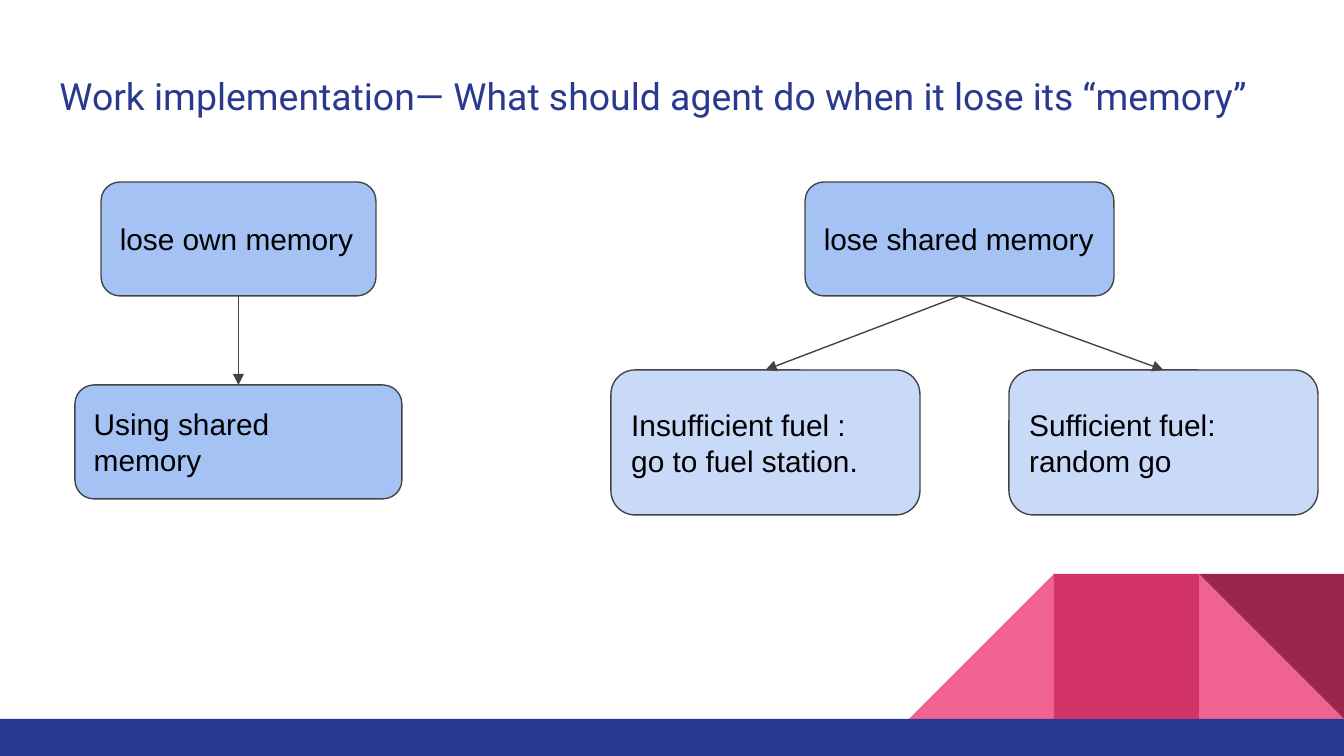
import pptx
import pptx.util
import pptx.dml.color
import pptx.enum.shapes
import pptx.enum.text
import pptx.oxml.ns
import lxml.etree

RGBColor = pptx.dml.color.RGBColor
SHAPE = pptx.enum.shapes.MSO_SHAPE
ANCHOR = pptx.enum.text.MSO_ANCHOR
ALIGN = pptx.enum.text.PP_ALIGN

NAVY = RGBColor(0x2A, 0x39, 0x90)
PINK = RGBColor(0xF0, 0x62, 0x92)
CRIMSON = RGBColor(0xD2, 0x33, 0x69)
MAROON = RGBColor(0x9C, 0x25, 0x4D)
BLUE = RGBColor(0xA4, 0xC2, 0xF4)
PALE_BLUE = RGBColor(0xC9, 0xDA, 0xF8)
GRAY = RGBColor(0x43, 0x43, 0x43)
BLACK = RGBColor(0, 0, 0)

WIDTH, HEIGHT = 1344, 756
SCALE = 914400 / 134.4
TOP, BOTTOM = 0, 2


def emu(pixels):
    return pptx.util.Emu(round(pixels * SCALE))


def write(shape, text, font, size, color, anchor):
    frame = shape.text_frame
    frame.text = text
    frame.word_wrap = True
    frame.auto_size = pptx.enum.text.MSO_AUTO_SIZE.NONE
    frame.vertical_anchor = anchor
    frame.margin_left = frame.margin_right = pptx.util.Inches(0.1)
    frame.margin_top = frame.margin_bottom = pptx.util.Inches(0.1)
    for para in frame.paragraphs:
        para.alignment = ALIGN.LEFT
        for span in para.runs:
            span.font.name = font
            span.font.size = pptx.util.Pt(size)
            span.font.color.rgb = color


def add_block(page, kind, box, fill):
    shape = page.shapes.add_shape(kind, *map(emu, box))
    shape.shadow.inherit = False
    shape.fill.solid()
    shape.fill.fore_color.rgb = fill
    shape.line.fill.background()
    return shape


def add_decoration(page, box):
    left, top, width, height = box
    side = width / 3
    pieces = [
        (SHAPE.RIGHT_TRIANGLE, 2, 0, PINK),
        (SHAPE.RIGHT_TRIANGLE, 0, 270, PINK),
        (SHAPE.RECTANGLE, 1, 0, CRIMSON),
        (SHAPE.RIGHT_TRIANGLE, 2, 180, MAROON),
    ]
    for kind, column, turn, fill in pieces:
        piece = add_block(page, kind, (left + column * side, top, side, side), fill)
        piece.rotation = turn
    bar_top = top + side
    add_block(page, SHAPE.RECTANGLE, (0, bar_top, WIDTH, top + height - bar_top), NAVY)


def set_title(page, box, text):
    title = page.shapes.title
    title.left, title.top, title.width, title.height = map(emu, box)
    write(title, text, "Roboto", 20, NAVY, ANCHOR.TOP)


def add_step(page, box, text, fill):
    step = add_block(page, SHAPE.ROUNDED_RECTANGLE, box, fill)
    step.line.color.rgb = GRAY
    step.line.width = pptx.util.Pt(0.75)
    write(step, text, "Arial", 16, BLACK, ANCHOR.MIDDLE)
    return step


def add_arrow(page, source, target):
    arrow = page.shapes.add_connector(pptx.enum.shapes.MSO_CONNECTOR.STRAIGHT, 0, 0, 0, 0)
    arrow.begin_connect(source, BOTTOM)
    arrow.end_connect(target, TOP)
    arrow.line.color.rgb = GRAY
    arrow.line.width = pptx.util.Pt(0.75)
    qn = pptx.oxml.ns.qn
    lxml.etree.SubElement(arrow.line._get_or_add_ln(), qn("a:tailEnd"), type="triangle")
    lxml.etree.SubElement(arrow._element.spPr, qn("a:effectLst"))


def add_own_memory(page, box):
    left, top, width, height = box
    cause = add_step(page, (left + 26, top, width - 52, 114), "lose own memory", BLUE)
    action = add_step(page, (left, top + height - 114, width, 114), "Using shared memory", BLUE)
    add_arrow(page, cause, action)


def add_shared_memory(page, box):
    left, top, width, height = box
    step_width = 309
    cause = add_step(page, (left + 194, top, step_width, 114), "lose shared memory", BLUE)
    choices = [
        (left, "Insufficient fuel :\ngo to fuel station."),
        (left + width - step_width, "Sufficient fuel: random go"),
    ]
    for choice_left, text in choices:
        choice_box = (choice_left, top + height - 145, step_width, 145)
        add_arrow(page, cause, add_step(page, choice_box, text, PALE_BLUE))


deck = pptx.Presentation()
deck.slide_width, deck.slide_height = emu(WIDTH), emu(HEIGHT)
page = deck.slides.add_slide(deck.slide_layouts.get_by_name("Title Only"))
add_decoration(page, (909, 574, 435, 182))
set_title(
    page,
    (46, 60, 1252, 89),
    "Work implementation— What should agent do when it lose its “memory”",
)
add_own_memory(page, (75, 182, 327, 317))
add_shared_memory(page, (611, 182, 707, 333))
deck.save("out.pptx")
